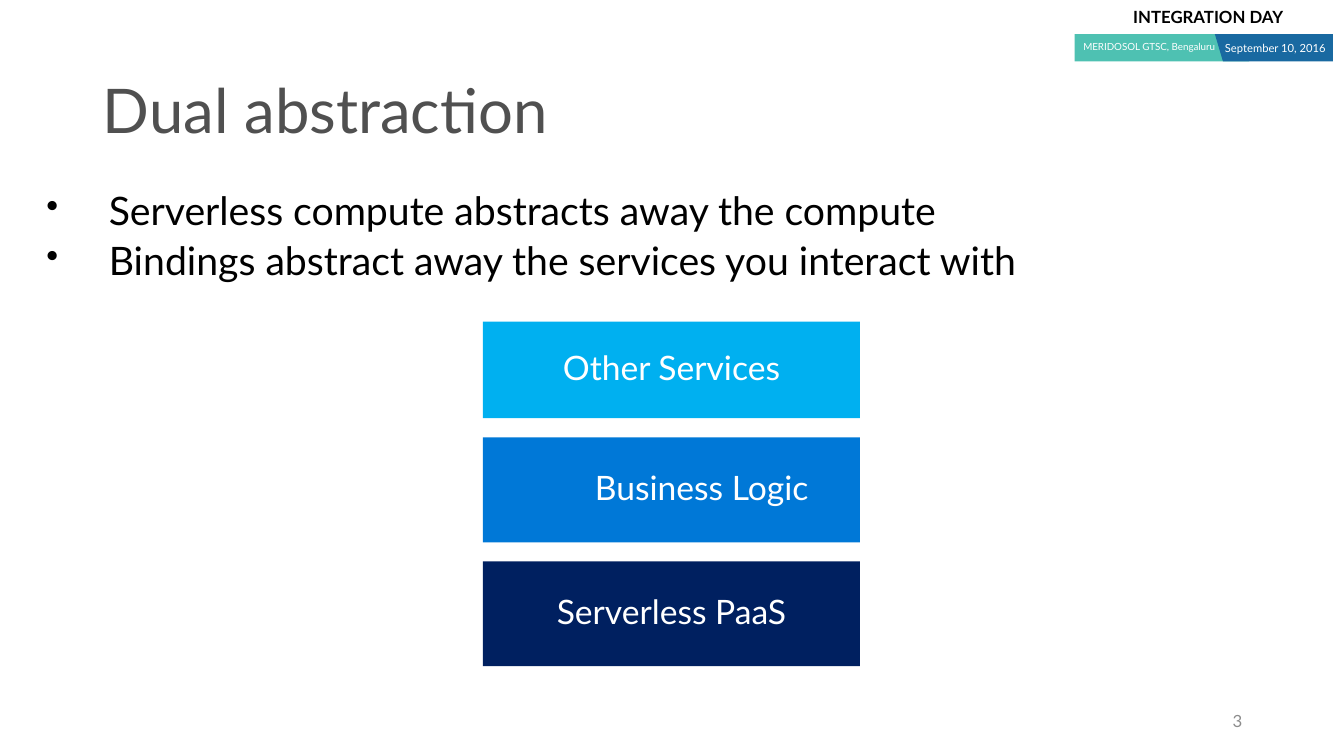
"""Build the Dual abstraction slide with its event banner and service stack."""
from dataclasses import dataclass

from lxml.etree import SubElement
from pptx import Presentation
from pptx.dml.color import RGBColor
from pptx.enum.shapes import MSO_SHAPE
from pptx.enum.text import MSO_ANCHOR, MSO_AUTO_SIZE, PP_ALIGN
from pptx.oxml.ns import qn
from pptx.util import Emu, Pt

SCALE = 9144


def px(size):
    """Turn px into EMU at 100 px to the inch."""
    return Emu(size * SCALE)


@dataclass(frozen=True)
class Theme:
    """Colours, type sizes and font of the deck."""
    font: str = "Lato"
    black: str = "000000"
    white: str = "FFFFFF"
    grey: str = "505050"
    pale: str = "8C8C8C"
    teal: str = "4EC1B2"
    steel: str = "1969A1"
    sky: str = "00B0F0"
    blue: str = "0078D7"
    navy: str = "002060"
    title: int = 44
    body: int = 28
    block: int = 24
    small: int = 12
    date: int = 8
    venue: int = 7


class Deck:
    """Holds the theme and the current slide."""

    def __init__(self, theme):
        self.theme = theme
        self.show = Presentation()
        self.show.slide_width = px(1333)
        self.show.slide_height = px(750)
        self.slide = self.show.slides.add_slide(self.show.slide_layouts[5])

    def apply(self, item, style):
        """Set each named value on an item."""
        for name, value in style.items():
            setattr(item, name, value)

    def place(self, shape, box):
        """Move and size a shape."""
        self.apply(shape, dict(zip(("left", "top", "width", "height"), map(px, box))))

    def fill_text(self, shape, lines, size, color, bold=False, anchor=MSO_ANCHOR.TOP,
                  inset=(10, 5, 10, 5), **style):
        """Fill a shape with lines of text and return their paragraphs."""
        frame = shape.text_frame
        sides = ("margin_left", "margin_top", "margin_right", "margin_bottom")
        self.apply(frame, {"text": "\n".join(lines), "word_wrap": True,
                           "auto_size": MSO_AUTO_SIZE.NONE, "vertical_anchor": anchor,
                           **dict(zip(sides, map(px, inset)))})
        for para in frame.paragraphs:
            self.apply(para, {"alignment": PP_ALIGN.LEFT, **style})
            for run in para.runs:
                self.apply(run.font, {"name": self.theme.font, "size": Pt(size), "bold": bold})
                run.font.color.rgb = RGBColor.from_string(color)
        return frame.paragraphs

    def paint(self, shape, color):
        """Give a shape a flat fill."""
        shape.shadow.inherit = False
        shape.fill.solid()
        shape.fill.fore_color.rgb = RGBColor.from_string(color)
        shape.line.fill.background()
        return shape

    def title(self, text, box):
        """Format the title placeholder."""
        shape = self.slide.shapes.title
        self.place(shape, box)
        self.fill_text(shape, [text], self.theme.title, self.theme.grey,
                       anchor=MSO_ANCHOR.MIDDLE, line_spacing=0.9)

    def label(self, text, box, size, color, **style):
        """Add a text box with one line."""
        shape = self.slide.shapes.add_textbox(*map(px, box))
        self.fill_text(shape, [text], size, color, **style)

    def bullets(self, lines, box):
        """Add a bulleted list."""
        shape = self.slide.shapes.add_textbox(*map(px, box))
        paras = self.fill_text(shape, lines, self.theme.body, self.theme.black,
                               inset=(16, 10, 16, 10), line_spacing=0.9)
        for para in paras:
            props = para._p.get_or_add_pPr()
            props.set("marL", str(px(62)))
            props.set("indent", str(px(-62)))
            SubElement(props, qn("a:buSzPct")).set("val", "90000")
            SubElement(props, qn("a:buChar")).set("char", "•")
        for para in paras[1:]:
            para.space_before = Pt(5.6)

    def rect(self, box, color):
        """Add a plain rectangle."""
        return self.paint(self.slide.shapes.add_shape(MSO_SHAPE.RECTANGLE, *map(px, box)), color)

    def block(self, text, box, color, shift=0):
        """Add a labelled block whose text centre moves right by shift."""
        self.fill_text(self.rect(box, color), [text], self.theme.block, self.theme.white,
                       anchor=MSO_ANCHOR.MIDDLE, inset=(20 + 2 * shift, 16, 20, 16),
                       alignment=PP_ALIGN.CENTER, line_spacing=0.9)

    def outline(self, points, color):
        """Add a closed polygon."""
        pen = self.slide.shapes.build_freeform(*points[0], scale=SCALE)
        pen.add_line_segments(points[1:], close=True)
        self.paint(pen.convert_to_shape(), color)


def main():
    """Draw the slide and save it."""
    theme = Theme()
    deck = Deck(theme)
    deck.label("INTEGRATION DAY", (1114, 2, 181, 30), theme.small, theme.black, bold=True)
    deck.rect((1066, 34, 173, 27), theme.teal)
    deck.outline([(1205, 34), (1213, 61), (1322, 61), (1322, 34)], theme.steel)
    deck.label("MERIDOSOL GTSC, Bengaluru", (1056, 36, 159, 23), theme.venue, theme.white,
               alignment=PP_ALIGN.RIGHT)
    deck.label("September 10, 2016", (1205, 36, 128, 24), theme.date, theme.white)
    deck.label("3", (942, 695, 300, 40), theme.small, theme.pale,
               anchor=MSO_ANCHOR.MIDDLE, alignment=PP_ALIGN.RIGHT)
    deck.title("Dual abstraction", (92, 40, 1150, 145))
    deck.bullets(["Serverless compute abstracts away the compute",
                  "Bindings abstract away the services you interact with"],
                 (30, 180, 1274, 116))
    top = 319
    for text, height, color, shift in (("Other Services", 96, theme.sky, 0),
                                       ("Business Logic", 104, theme.blue, 30),
                                       ("Serverless PaaS", 104, theme.navy, 0)):
        deck.block(text, (479, top, 374, height), color, shift)
        top += height + 19
    deck.show.save("out.pptx")


if __name__ == "__main__":
    main()
